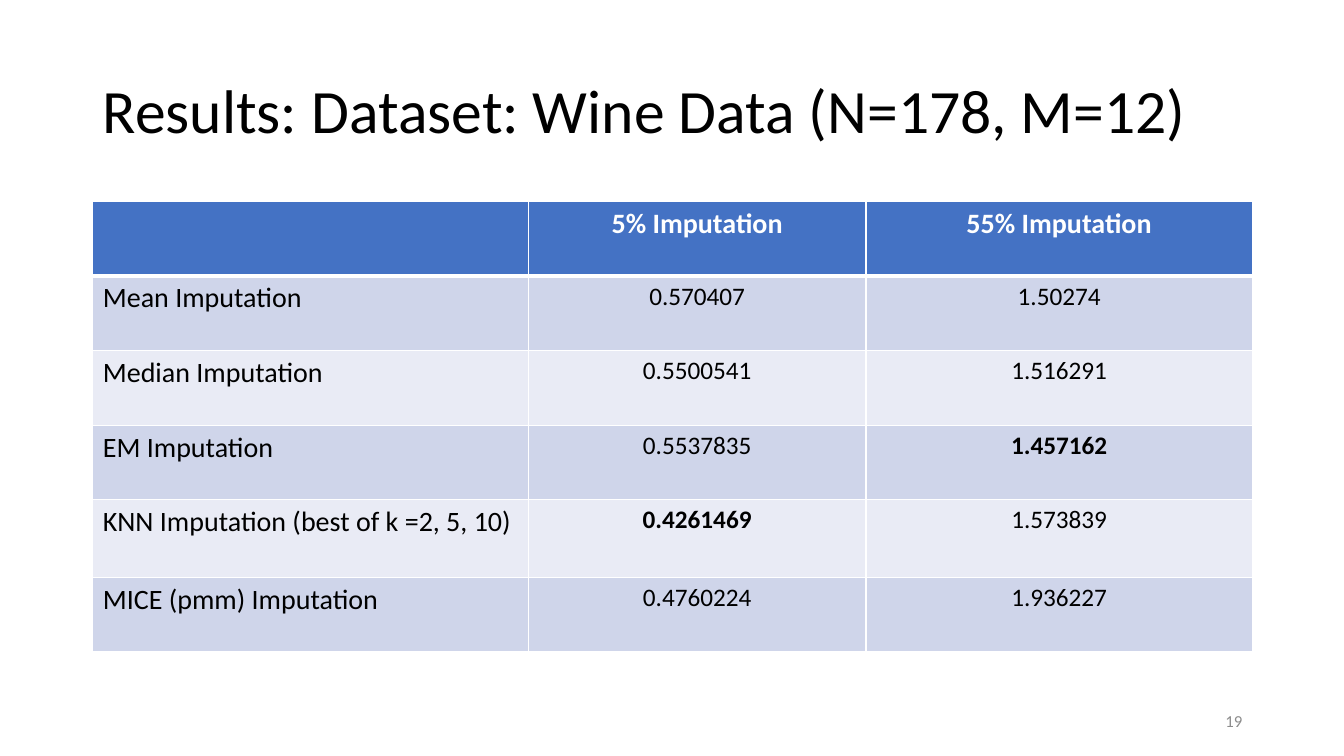
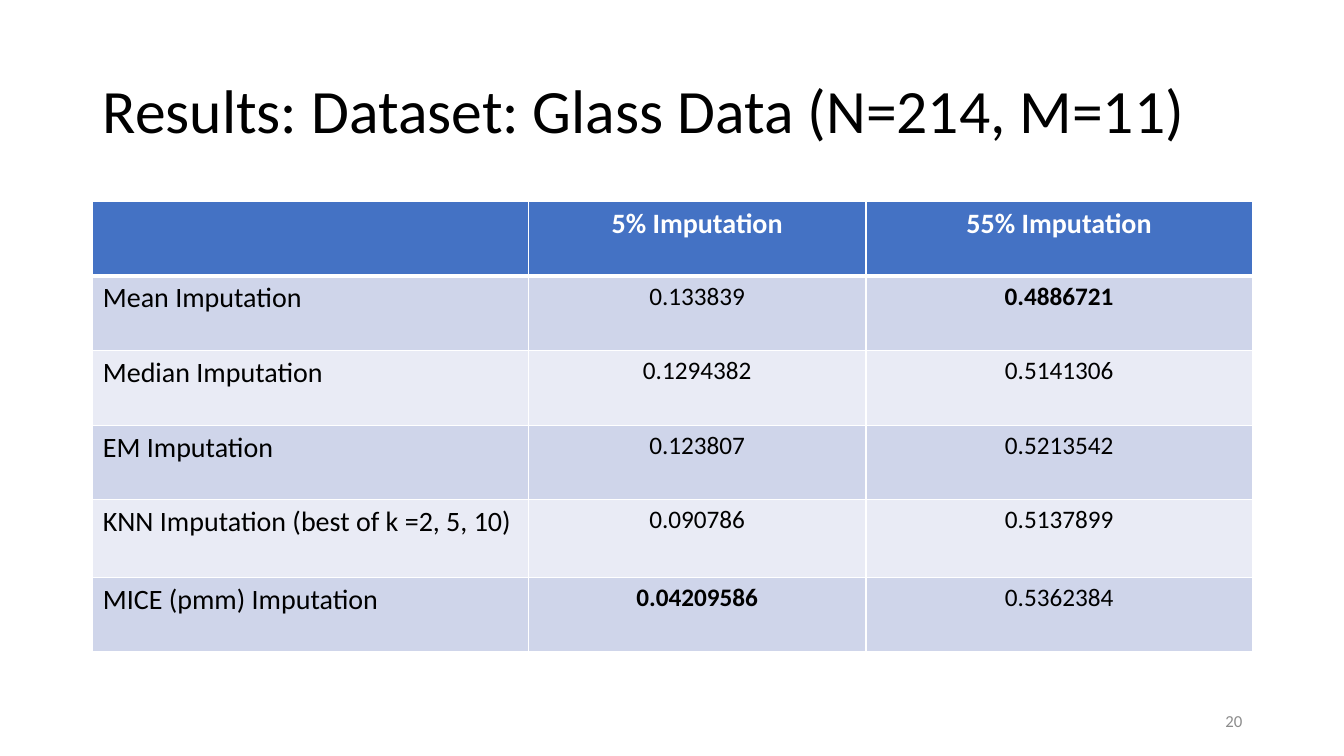
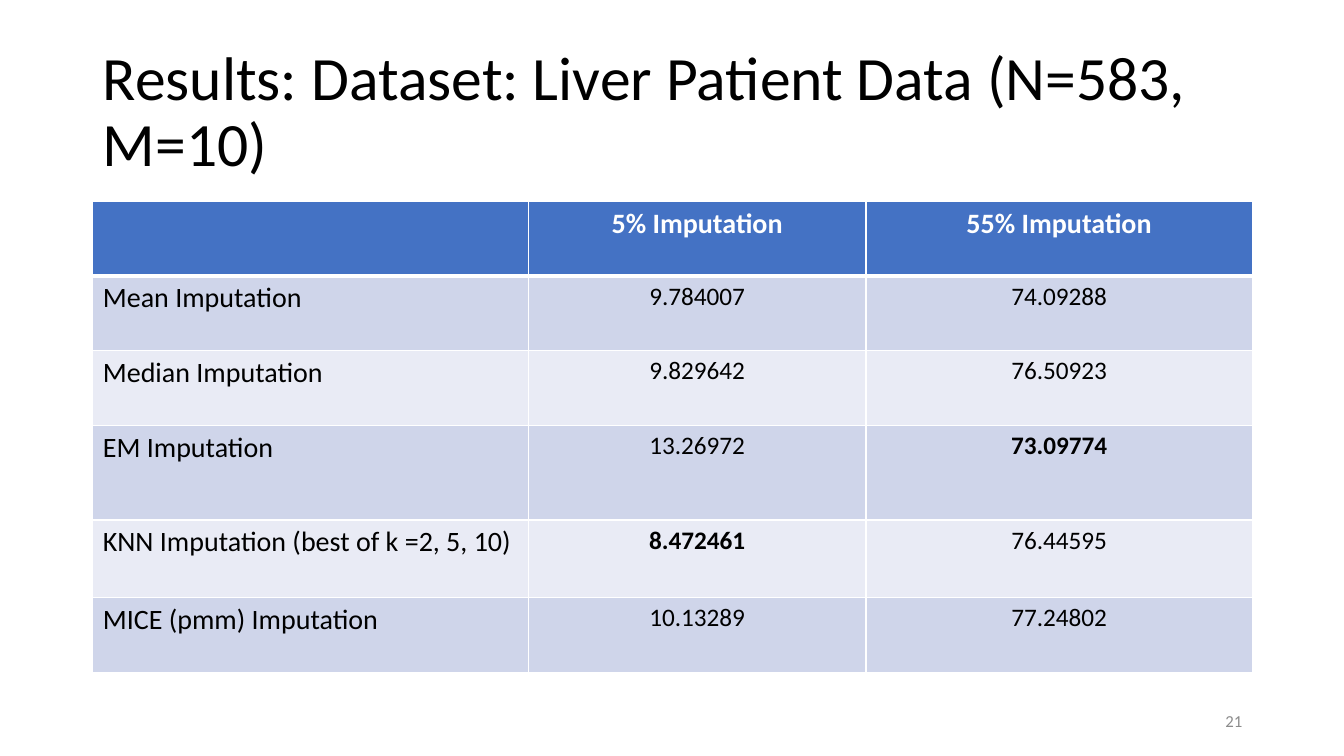
"""Build three result slides comparing imputation methods on different datasets."""
from dataclasses import dataclass

from lxml.etree import SubElement
from pptx import Presentation
from pptx.dml.color import RGBColor
from pptx.enum.text import MSO_ANCHOR, PP_ALIGN
from pptx.oxml.ns import qn
from pptx.util import Inches, Pt


@dataclass(frozen=True)
class Theme:
    font: str = "Calibri"
    text: str = "000000"
    header_text: str = "FFFFFF"
    header_fill: str = "4472C4"
    band_fills: tuple = ("CFD5EA", "E9EBF5")
    border: str = "FFFFFF"
    number_text: str = "8C8C8C"
    title_size: int = 44
    label_size: int = 20
    value_size: int = 18
    number_size: int = 12
    border_width: int = 1
    header_border_width: int = 3


HEADERS = ("", "5% Imputation", "55% Imputation")
METHODS = (
    "Mean Imputation",
    "Median Imputation",
    "EM Imputation",
    "KNN Imputation (best of k =2, 5, 10)",
    "MICE (pmm) Imputation",
)
COLUMN_WIDTHS = (4.32, 3.35, 3.83)
ROW_HEIGHTS = (0.74, 0.74, 0.74, 0.74, 0.77, 0.74)
TALL_EM_ROW_HEIGHTS = (0.74, 0.74, 0.74, 0.94, 0.77, 0.74)
FIRST_SLIDE_NUMBER = 19

RESULTS = (
    (
        "Wine Data (N=178, M=12)",
        ("0.570407", "0.5500541", "0.5537835", "0.4261469", "0.4760224"),
        ("1.50274", "1.516291", "1.457162", "1.573839", "1.936227"),
        ROW_HEIGHTS,
    ),
    (
        "Glass Data (N=214, M=11)",
        ("0.133839", "0.1294382", "0.123807", "0.090786", "0.04209586"),
        ("0.4886721", "0.5141306", "0.5213542", "0.5137899", "0.5362384"),
        ROW_HEIGHTS,
    ),
    (
        "Liver Patient Data (N=583, M=10)",
        ("9.784007", "9.829642", "13.26972", "8.472461", "10.13289"),
        ("74.09288", "76.50923", "73.09774", "76.44595", "77.24802"),
        TALL_EM_ROW_HEIGHTS,
    ),
)


class ResultsDeck:
    def __init__(self, theme):
        self.theme = theme
        self.presentation = Presentation()
        self.presentation.slide_width = Inches(13.33)
        self.presentation.slide_height = Inches(7.5)
        self.slide = None

    def add_slide(self):
        self.slide = self.presentation.slides.add_slide(self.presentation.slide_layouts[6])

    def set_text(self, text_frame, text, size, color, alignment=PP_ALIGN.LEFT, bold=False):
        text_frame.text = text
        paragraph = text_frame.paragraphs[0]
        paragraph.alignment = alignment
        for run in paragraph.runs:
            run.font.name = self.theme.font
            run.font.size = Pt(size)
            run.font.bold = bold
            run.font.color.rgb = RGBColor.from_string(color)
        return paragraph

    def add_text_box(self, box, *text_style):
        text_frame = self.slide.shapes.add_textbox(*map(Inches, box)).text_frame
        text_frame.word_wrap = True
        text_frame.vertical_anchor = MSO_ANCHOR.MIDDLE
        return self.set_text(text_frame, *text_style)

    def add_title(self, text):
        box = (0.92, 0.4, 11.5, 1.45)
        paragraph = self.add_text_box(box, text, self.theme.title_size, self.theme.text)
        paragraph.line_spacing = 0.9

    def add_slide_number(self, number):
        box = (9.42, 6.95, 3, 0.4)
        self.add_text_box(
            box, str(number), self.theme.number_size, self.theme.number_text, PP_ALIGN.RIGHT
        )

    def add_borders(self, cell, row):
        normal, thick = self.theme.border_width, self.theme.header_border_width
        widths = {
            "a:lnL": normal,
            "a:lnR": normal,
            "a:lnT": thick if row == 1 else normal,
            "a:lnB": thick if row == 0 else normal,
        }
        properties = cell._tc.get_or_add_tcPr()
        for side, width in widths.items():
            line = SubElement(properties, qn(side), w=str(Pt(width)))
            fill = SubElement(line, qn("a:solidFill"))
            SubElement(fill, qn("a:srgbClr"), val=self.theme.border)

    def style_cell(self, cell, row, column, text, best):
        theme = self.theme
        header = row == 0
        self.add_borders(cell, row)
        cell.fill.solid()
        fill = theme.header_fill if header else theme.band_fills[(row - 1) % 2]
        cell.fill.fore_color.rgb = RGBColor.from_string(fill)
        self.set_text(
            cell.text_frame,
            text,
            theme.label_size if header or column == 0 else theme.value_size,
            theme.header_text if header else theme.text,
            PP_ALIGN.LEFT if column == 0 else PP_ALIGN.CENTER,
            header or best,
        )

    def add_results_table(self, low_rate, high_rate, row_heights):
        rows = (HEADERS, *zip(METHODS, low_rate, high_rate))
        best_values = (None, min(low_rate, key=float), min(high_rate, key=float))
        box = (0.92, 2, sum(COLUMN_WIDTHS), sum(row_heights))
        table = self.slide.shapes.add_table(
            len(rows), len(HEADERS), *map(Inches, box)
        ).table
        table.horz_banding = False
        for column, width in zip(table.columns, COLUMN_WIDTHS):
            column.width = Inches(width)
        for row, height in zip(table.rows, row_heights):
            row.height = Inches(height)
        for row, texts in enumerate(rows):
            for column, text in enumerate(texts):
                best = text == best_values[column]
                self.style_cell(table.cell(row, column), row, column, text, best)


def main():
    deck = ResultsDeck(Theme())
    for number, (dataset, low_rate, high_rate, row_heights) in enumerate(
        RESULTS, FIRST_SLIDE_NUMBER
    ):
        deck.add_slide()
        deck.add_title(f"Results: Dataset: {dataset}")
        deck.add_results_table(low_rate, high_rate, row_heights)
        deck.add_slide_number(number)
    deck.presentation.save("out.pptx")


if __name__ == "__main__":
    main()
